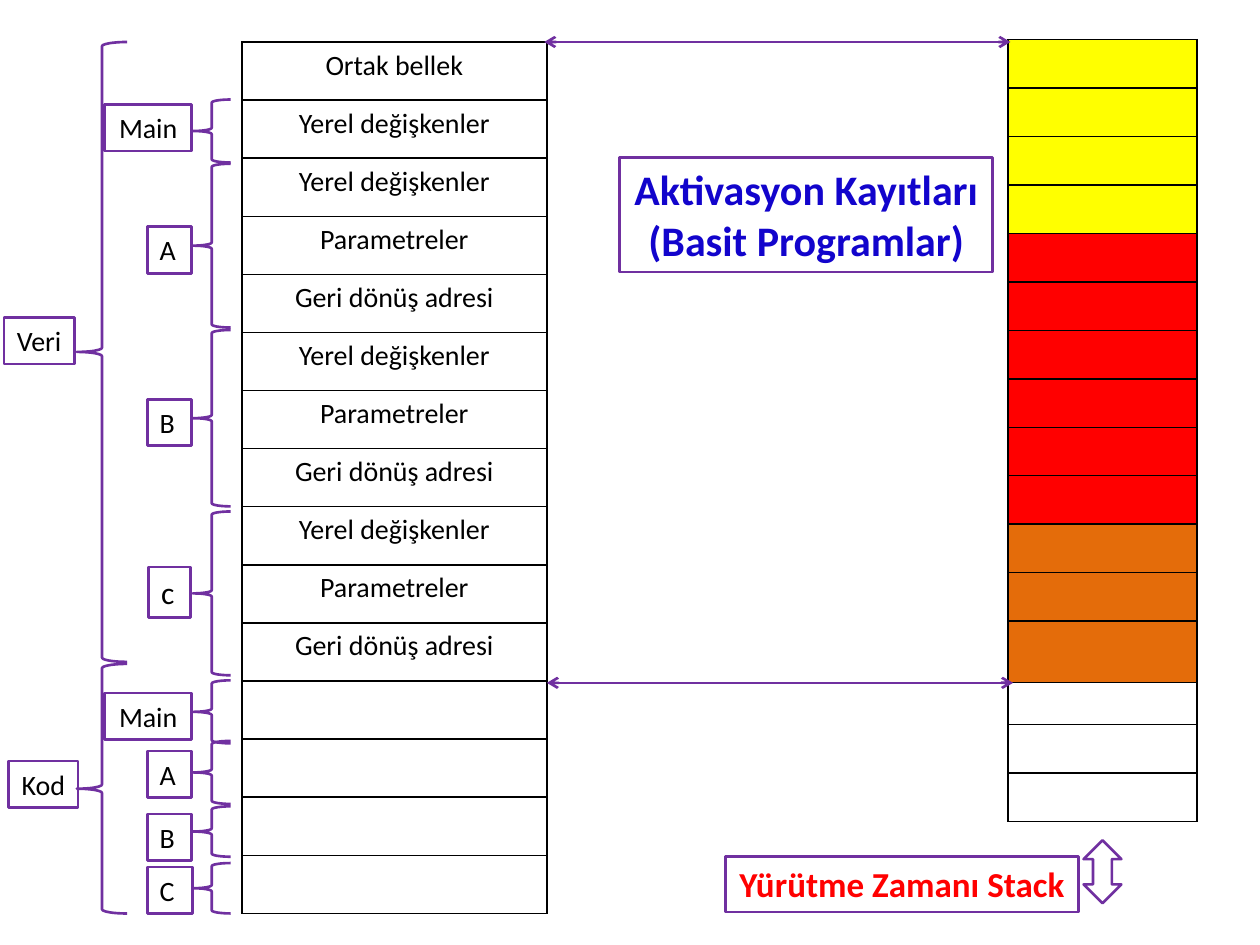
from lxml import etree
from pptx import Presentation
from pptx.dml.color import RGBColor
from pptx.enum import shapes, text
from pptx.oxml import ns, parse_xml
from pptx.util import Pt

PURPLE, BLACK, RED = "7030A0", "000000", "FF0000"
YELLOW, ORANGE, BLUE = "FFFF00", "E46C0A", "1204CC"


def color(value):
    return RGBColor.from_string(value)


def outline(shape):
    """Purple line; closed shapes also lose fill and shadow."""
    shape.line.color.rgb = color(PURPLE)
    shape.line.width = Pt(1.5)
    if hasattr(shape, "fill"):
        shape.fill.background()
        shape.shadow.inherit = False


presentation = Presentation()
presentation.slide_width, presentation.slide_height = Pt(720), Pt(540)
slide = presentation.slides.add_slide(presentation.slide_layouts[6])

# Memory layout and run-time stack tables: rows are (text, fill, height)
record = ["Yerel değişkenler", "Parametreler", "Geri dönüş adresi"]
memory_labels = ["Ortak bellek", record[0]] + record * 3 + [""] * 4
memory_rows = [(label, None, 33.2) for label in memory_labels]
stack_fills = [YELLOW] * 4 + [RED] * 6 + [ORANGE] * 3 + [None] * 3
stack_heights = [27.7] * 12 + [35.2, 24, 27.7, 27.7]
stack_rows = [("", fill, height) for fill, height in zip(stack_fills, stack_heights)]

for left, top, width, rows in [(138.2, 24, 174.3, memory_rows),
                               (576, 22.6, 108, stack_rows)]:
    total = sum(height for _, _, height in rows)
    table = slide.shapes.add_table(
        len(rows), 1, Pt(left), Pt(top), Pt(width), Pt(total)).table
    table.first_row = table.horz_banding = False
    for index, (label, fill, height) in enumerate(rows):
        table.rows[index].height = Pt(height)
        cell = table.cell(index, 0)
        if fill:
            cell.fill.solid()
            cell.fill.fore_color.rgb = color(fill)
        else:
            cell.fill.background()
        paragraph = cell.text_frame.paragraphs[0]
        paragraph.text = label
        paragraph.alignment = text.PP_ALIGN.CENTER
        paragraph.font.name = "Calibri"
        paragraph.font.size = Pt(16 if label else 12)
        paragraph.font.color.rgb = color(BLACK)
        properties = cell._tc.get_or_add_tcPr()
        for position, side in enumerate(["lnL", "lnR", "lnT", "lnB"]):
            properties.insert(position, parse_xml(
                f'<a:{side} {ns.nsdecls("a")} w="12700"><a:solidFill>'
                f'<a:srgbClr val="{BLACK}"/></a:solidFill></a:{side}>'))

# Double-headed arrows between the tables
for left, right, y in [(312.5, 578.9, 390.2), (311, 577.4, 24)]:
    connector = slide.shapes.add_connector(
        shapes.MSO_CONNECTOR.STRAIGHT, Pt(left), Pt(y), Pt(right), Pt(y))
    outline(connector)
    line = connector.line._get_or_add_ln()
    for end in ["a:headEnd", "a:tailEnd"]:
        etree.SubElement(line, ns.qn(end), type="arrow")
    etree.SubElement(connector._element.spPr, ns.qn("a:effectLst"))

# Braces: (left, width, [(top, height), ...])
braces = [
    (110.2, 21.6, [(56.9, 36), (93.6, 93.6), (188.6, 100.8), (292.3, 93.6),
                   (388.8, 36), (423.4, 36), (460.8, 28.8), (493.2, 28.8)]),
    (43.9, 28.8, [(24, 354.2), (379.4, 142.6)]),
]
for left, width, spans in braces:
    for top, height in spans:
        outline(slide.shapes.add_shape(
            shapes.MSO_SHAPE.LEFT_BRACE, Pt(left), Pt(top), Pt(width), Pt(height)))

# Stack growth arrow
outline(slide.shapes.add_shape(
    shapes.MSO_SHAPE.UP_DOWN_ARROW, Pt(619.2), Pt(480.2), Pt(21.6), Pt(36)))

# Framed labels: (lines, left, top, width, height, format)
plain = {"name": "Calibri", "size": Pt(16), "bold": False, "color": BLACK}
labels = [
    (["Veri"], 2.2, 181.4, 40.3, 26.6, plain),
    (["Kod"], 5, 434.9, 39.6, 26.6, plain),
    (["Main"], 59.8, 59.8, 49.7, 26.6, plain),
    (["A"], 84.2, 129.6, 25.2, 26.6, plain),
    (["B"], 84.2, 228.2, 25.2, 26.6, plain),
    (["c"], 85, 324, 23.8, 28.8, {**plain, "size": Pt(18)}),
    (["Main"], 59.8, 396, 49.7, 26.6, plain),
    (["A"], 84.2, 429.1, 25.2, 26.6, plain),
    (["B"], 84.2, 465.1, 25.2, 26.6, plain),
    (["C"], 84.2, 495.4, 25.9, 26.6, plain),
    (["Yürütme Zamanı Stack"], 414.7, 489.6, 201.6, 31.7,
     {**plain, "size": Pt(20), "bold": True, "color": RED}),
    (["Aktivasyon Kayıtları", "(Basit Programlar)"], 354.2, 90, 213.1, 65.5,
     {**plain, "size": Pt(24), "bold": True, "color": BLUE}),
]
for lines, left, top, width, height, style in labels:
    shape = slide.shapes.add_shape(
        shapes.MSO_SHAPE.RECTANGLE, Pt(left), Pt(top), Pt(width), Pt(height))
    outline(shape)
    frame = shape.text_frame
    frame.word_wrap = False
    frame.auto_size = text.MSO_AUTO_SIZE.SHAPE_TO_FIT_TEXT
    frame.vertical_anchor = text.MSO_ANCHOR.TOP
    frame.text = "\n".join(lines)
    for paragraph in frame.paragraphs:
        single = len(paragraph.text) == 1
        paragraph.alignment = text.PP_ALIGN.LEFT if single else text.PP_ALIGN.CENTER
        for key, value in style.items():
            if key == "color":
                paragraph.font.color.rgb = color(value)
            else:
                setattr(paragraph.font, key, value)

presentation.save("out.pptx")
